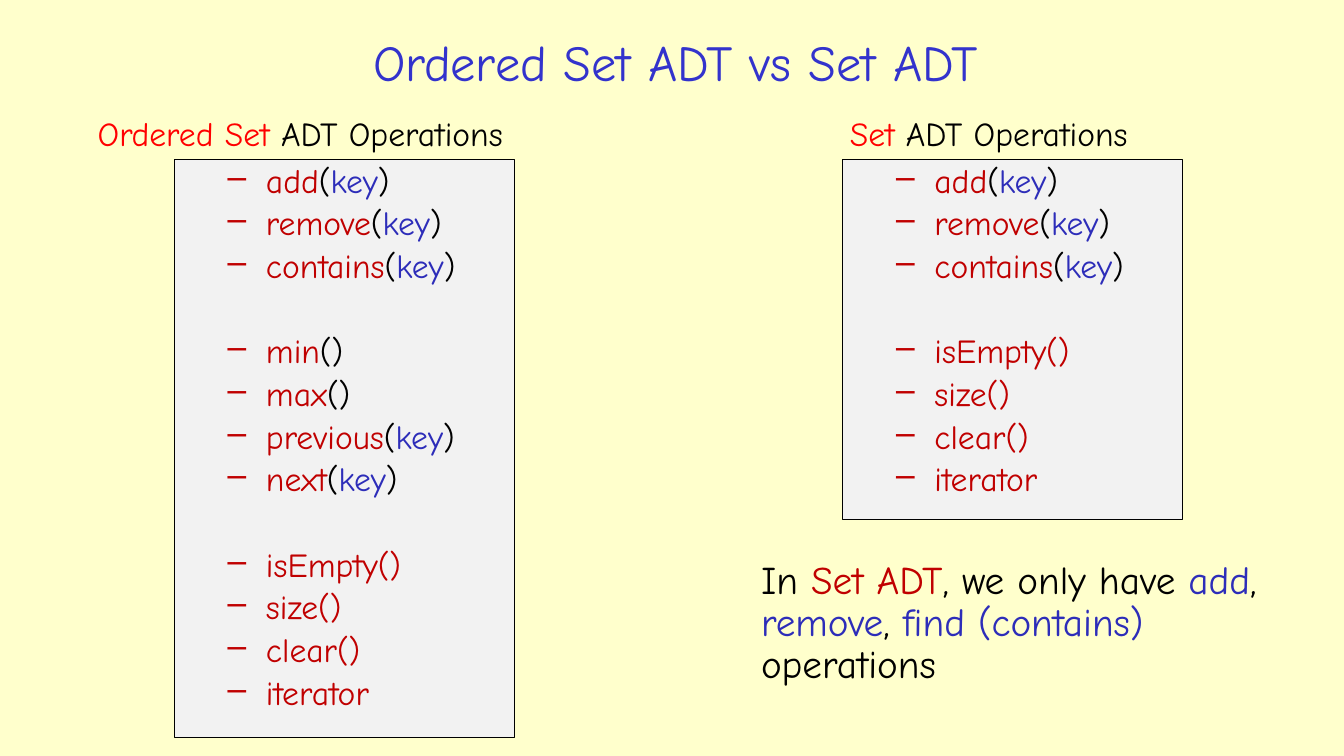
from pptx import Presentation
from pptx.dml.color import RGBColor
from pptx.enum.shapes import MSO_SHAPE
from pptx.enum.text import MSO_ANCHOR, PP_ALIGN
from pptx.oxml.ns import qn
from pptx.util import Inches, Pt

RECTANGLE = MSO_SHAPE.RECTANGLE
TOP, MIDDLE = MSO_ANCHOR.TOP, MSO_ANCHOR.MIDDLE
LEFT, CENTER = PP_ALIGN.LEFT, PP_ALIGN.CENTER

CREAM = RGBColor(0xFF, 0xFF, 0xCC)
PALE_GRAY = RGBColor(0xF2, 0xF2, 0xF2)
BLACK = RGBColor(0, 0, 0)
RED = RGBColor(0xFF, 0, 0)
DARK_RED = RGBColor(0xC0, 0, 0)
BLUE = RGBColor(0x2D, 0x2D, 0xB9)
TITLE_BLUE = RGBColor(0x33, 0x33, 0xCC)

FONT = "Comic Neue"
LINE_SPACING = 0.9
ITEM_GAP = Pt(4.5)
GROUP_GAP = Pt(35.2)  # one empty line and its gap more than ITEM_GAP


def keyed(name):
    return [(name, DARK_RED), ("(", BLACK), ("key", BLUE), (")", BLACK)]


def unkeyed(name):
    return [(name, DARK_RED), ("()", BLACK)]


def plain(name):
    return [(name, DARK_RED)]


EDITING = [keyed(name) for name in ("add", "remove", "contains")]
ORDERING = [unkeyed("min"), unkeyed("max"), keyed("previous"), keyed("next")]
GENERAL = [plain(name) for name in ("isEmpty()", "size()", "clear()", "iterator")]


class SlideBuilder:
    def __init__(self, page):
        self.page = page
        page.background.fill.solid()
        page.background.fill.fore_color.rgb = CREAM

    def add_spans(self, para, spans, size):
        """Fill a paragraph with (text, colour) spans."""
        para.font.name = FONT
        para.font.size = Pt(size)
        for text, color in spans:
            span = para.add_run()
            span.text = text
            span.font.name = FONT
            span.font.size = Pt(size)
            span.font.color.rgb = color

    def text(self, left, top, width, height, spans, size,
             align=LEFT, anchor=TOP, spacing=1.0):
        box = self.page.shapes.add_textbox(
            Inches(left), Inches(top), Inches(width), Inches(height))
        frame = box.text_frame
        frame.word_wrap = True
        frame.vertical_anchor = anchor
        para = frame.paragraphs[0]
        para.alignment = align
        para.line_spacing = spacing
        self.add_spans(para, spans, size)

    def operations(self, left, height, groups):
        """Draw a panel listing groups of operations with dash bullets."""
        panel = self.page.shapes.add_shape(
            RECTANGLE, Inches(left), Inches(1.58), Inches(3.37), Inches(height))
        panel.shadow.inherit = False
        panel.fill.solid()
        panel.fill.fore_color.rgb = PALE_GRAY
        panel.line.color.rgb = BLACK
        panel.line.width = Pt(0.75)
        frame = panel.text_frame
        frame.word_wrap = True
        frame.vertical_anchor = TOP
        for group_index, group in enumerate(groups):
            for item_index, spans in enumerate(group):
                first = group_index == item_index == 0
                para = frame.paragraphs[0] if first else frame.add_paragraph()
                self.add_dash(para)
                para.alignment = LEFT
                para.line_spacing = LINE_SPACING
                if not first:
                    para.space_before = ITEM_GAP if item_index else GROUP_GAP
                self.add_spans(para, spans, 24)

    def add_dash(self, para):
        para.level = 1
        properties = para._p.get_or_add_pPr()
        properties.set("marL", str(Inches(0.81)))
        properties.set("indent", str(Inches(-0.38)))
        bullet = properties.makeelement(qn("a:buChar"), {"char": "–"})
        properties.append(bullet)


def main():
    deck = Presentation()
    deck.slide_width = Inches(13.33)
    deck.slide_height = Inches(7.5)
    slide = SlideBuilder(deck.slides.add_slide(deck.slide_layouts[6]))

    slide.text(1.93, 0.26, 9.54, 0.69, [("Ordered Set ADT vs Set ADT", TITLE_BLUE)],
               36, align=CENTER, anchor=MIDDLE)
    slide.operations(1.73, 5.74, [EDITING, ORDERING, GENERAL])
    slide.operations(8.36, 3.57, [EDITING, GENERAL])
    for left, width, name in ((0.87, 4.89, "Ordered Set "), (8.33, 3.43, "Set ")):
        slide.text(left, 1.07, width, 0.5,
                   [(name, RED), ("ADT Operations", BLACK)], 24)
    slide.text(7.45, 5.51, 5.43, 1.59, [
        ("In ", BLACK), ("Set ADT", DARK_RED), (", we only have ", BLACK),
        ("add", BLUE), (", ", BLACK), ("remove", BLUE), (", ", BLACK),
        ("find (contains)", BLUE), (" operations", BLACK),
    ], 28, spacing=LINE_SPACING)

    deck.save("out.pptx")


if __name__ == "__main__":
    main()
